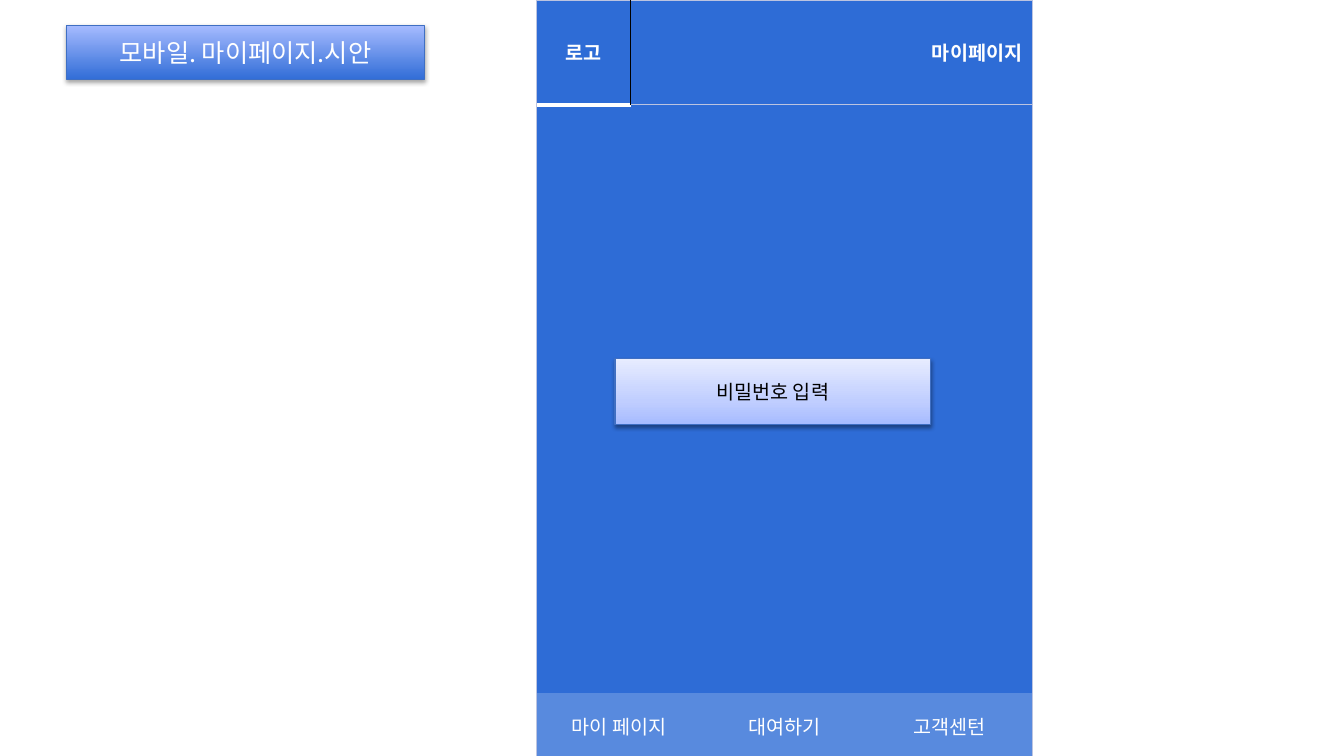
from pptx import Presentation
from pptx import util as u
from pptx.dml.color import RGBColor
from pptx.enum import shapes, text
from pptx.oxml import parse_xml
from pptx.oxml.ns import nsdecls, qn

WHITE = RGBColor(0xFF, 0xFF, 0xFF)
BLACK = RGBColor(0, 0, 0)
BLUE = RGBColor(0x2E, 0x6C, 0xD6)
BAR = RGBColor(0x58, 0x8A, 0xDE)
EDGE = RGBColor(0x3F, 0x6F, 0xC3)
PALE = RGBColor(0xBC, 0xC4, 0xE0)
DEEP = RGBColor(0x31, 0x6D, 0xD7)
SKY = RGBColor(0xA6, 0xBB, 0xFF)
MIST = RGBColor(0xC0, 0xCE, 0xFF)
ICE = RGBColor(0xE7, 0xEC, 0xFF)
SANS = "Noto Sans CJK KR"
PLAIN = "{2D5ABB26-0587-4C30-8999-92F81FD0307C}"
THIN = (PALE, 0.75)
RULE = (BLACK, 1)
THICK = (WHITE, 3)
MID = text.PP_ALIGN.CENTER


def write(frame, words, size, font, color, align=MID, bold=False):
    frame.text = words
    line = frame.paragraphs[0]
    line.alignment = align
    line.font.size = u.Pt(size)
    line.font.name = font
    line.font.bold = bold
    line.font.color.rgb = color


def place(item, box):
    item.left, item.top, item.width, item.height = map(u.Inches, box)


def gloss(shape, stops, alpha, drop):
    shape.fill.gradient()
    shape.fill.gradient_angle = 90
    shape.line.color.rgb = EDGE
    shape.line.width = u.Pt(0.75)
    props = shape._element.spPr
    ramp = props.find(qn("a:gradFill")).find(qn("a:gsLst"))
    ramp.clear()
    for pos, color in stops:
        ramp.append(parse_xml(
            f'<a:gs {nsdecls("a")} pos="{pos * 1000}"><a:srgbClr val="{color}"/></a:gs>'))
    props.append(parse_xml(
        f'<a:effectLst {nsdecls("a")}><a:outerShdw blurRad="{u.Pt(3.1)}" '
        f'dist="{u.Pt(drop)}" dir="5400000" rotWithShape="0"><a:srgbClr val="000000">'
        f'<a:alpha val="{alpha * 1000}"/></a:srgbClr></a:outerShdw></a:effectLst>'))


def border(cell, **sides):
    props = cell._tc.get_or_add_tcPr()
    order = [side for side in "LRTB" if side in sides]
    for spot, side in enumerate(order):
        color, width = sides[side]
        props.insert(spot, parse_xml(
            f'<a:ln{side} {nsdecls("a")} w="{u.Pt(width)}"><a:solidFill>'
            f'<a:srgbClr val="{color}"/></a:solidFill></a:ln{side}>'))


def grid(slide, box, cols, rows):
    frame = slide.shapes.add_table(len(rows), len(cols), *map(u.Inches, box))
    table = frame.table
    table.first_row = table.horz_banding = False
    table._tbl.tblPr.find(qn("a:tableStyleId")).text = PLAIN
    for col, width in zip(table.columns, cols):
        col.width = u.Inches(width)
    for row, height in zip(table.rows, rows):
        row.height = u.Inches(height)
    return table


def paint(cell, color):
    cell.fill.solid()
    cell.fill.fore_color.rgb = color


def label(cell, words, align=MID, bold=False):
    write(cell.text_frame, words, 14, "Arial", WHITE, align, bold)
    cell.vertical_anchor = text.MSO_ANCHOR.MIDDLE


def banner(slide, box):
    title = slide.shapes.title
    place(title, box)
    write(title.text_frame, "모바일. 마이페이지.시안", 18, SANS, WHITE)
    title.text_frame.auto_size = text.MSO_AUTO_SIZE.NONE
    title.text_frame.vertical_anchor = text.MSO_ANCHOR.MIDDLE
    gloss(title, [(0, DEEP), (100, SKY)], 35, 1.8)


def screen(slide, box):
    width, foot = box[2], 0.67
    table = grid(slide, box, [width / 3] * 3, [box[3] - foot, foot])
    main = table.cell(0, 0)
    main.merge(table.cell(0, 2))
    for col in range(3):
        paint(table.cell(0, col), BLUE)
    border(main, L=THIN, T=THIN, R=THIN)
    border(table.cell(0, 2), R=THIN)
    edges = [{"L": THIN}, {}, {"R": THIN}]
    for col, words in enumerate(["마이 페이지", "대여하기", "고객센턴"]):
        cell = table.cell(1, col)
        label(cell, words)
        paint(cell, BAR)
        border(cell, B=THIN, **edges[col])


def header(slide, box):
    mark = 0.93
    table = grid(slide, box, [mark, box[2] - mark], [box[3]])
    logo, page = table.cell(0, 0), table.cell(0, 1)
    label(logo, "로고", bold=True)
    label(page, "마이페이지", text.PP_ALIGN.RIGHT, True)
    for cell in (logo, page):
        paint(cell, BLUE)
    border(logo, L=THIN, T=THIN, R=RULE, B=THICK)
    border(page, L=RULE, T=THIN, R=THIN, B=THIN)


def entry(slide, box):
    field = slide.shapes.add_shape(
        shapes.MSO_SHAPE.RECTANGLE, *map(u.Inches, box))
    write(field.text_frame, "비밀번호 입력", 14, SANS, BLACK)
    field.text_frame.vertical_anchor = text.MSO_ANCHOR.MIDDLE
    gloss(field, [(0, SKY), (35, MIST), (100, ICE)], 38, 1.6)


deck = Presentation()
deck.slide_width, deck.slide_height = u.Inches(13.33), u.Inches(7.5)
slide = deck.slides.add_slide(deck.slide_layouts[5])
left, width, top = 5.32, 4.92, 1.04
banner(slide, (0.66, 0.25, 3.55, 0.54))
screen(slide, (left, top, width, 6.5))
header(slide, (left, 0, width, top))
entry(slide, (6.1, 3.56, 3.13, 0.65))
deck.save("out.pptx")
